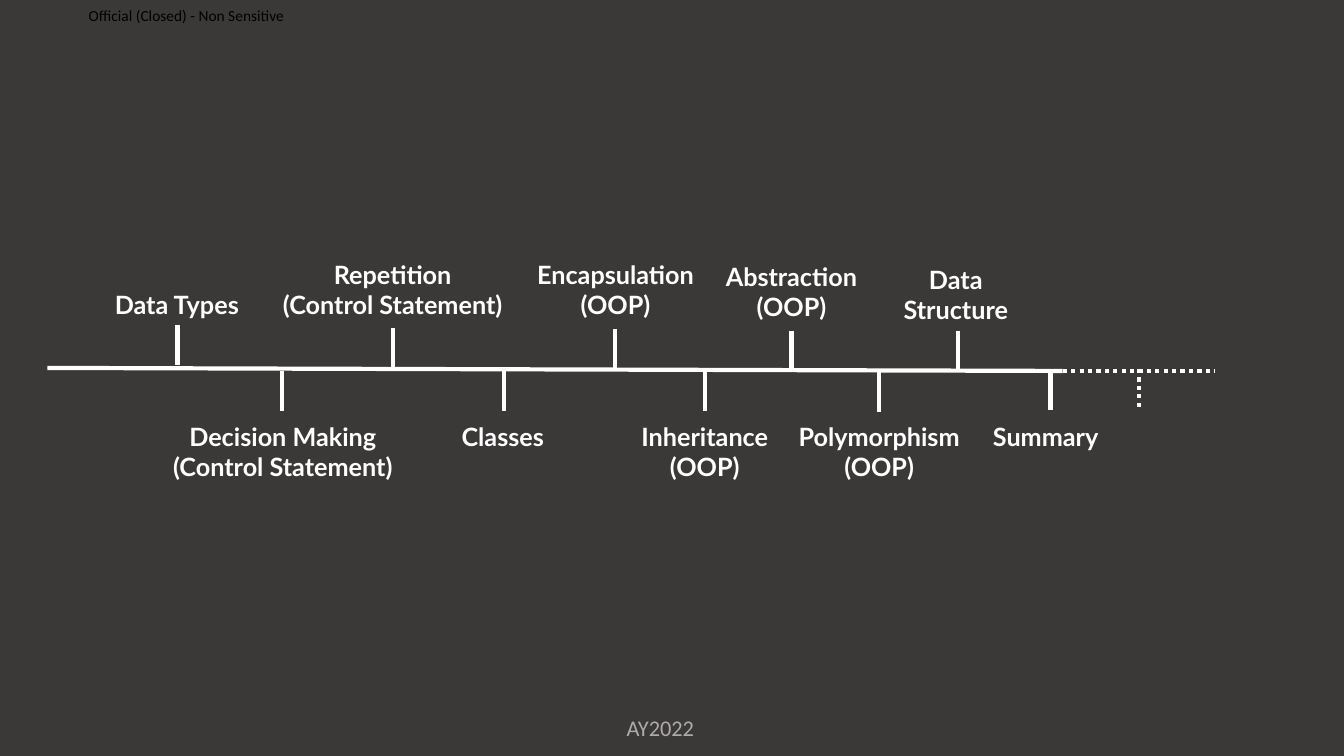
from lxml import etree
from pptx import Presentation
from pptx.dml.color import RGBColor
from pptx.enum import dml, shapes, text
from pptx.oxml import ns
from pptx.util import Inches, Pt

CHARCOAL = RGBColor(0x3B, 0x38, 0x38)
WHITE = RGBColor(0xFF, 0xFF, 0xFF)
BLACK = RGBColor(0x00, 0x00, 0x00)
GREY = RGBColor(0xAF, 0xAB, 0xAB)

TICK_LENGTH = 0.4
LABEL_FORMAT = {"name": "Lato", "size": Pt(18), "bold": True}
MARKING_FORMAT = {"name": "Calibri", "size": Pt(11)}
FOOTER_FORMAT = {"name": "Calibri", "size": Pt(16)}

# label lines, label left, top and width, tick x and top
TOPICS = [
    (["Data Types"], 1.04, 2.82, 1.5, 1.76, 3.22),
    (["Decision Making", "(Control Statement)"], 1.52, 4.13, 2.57, 2.8, 3.68),
    (["Repetition", "(Control Statement)"], 2.61, 2.52, 2.57, 3.9, 3.25),
    (["Classes"], 4.48, 4.13, 1.03, 5, 3.68),
    (["Encapsulation", "(OOP)"], 5.18, 2.52, 1.85, 6.1, 3.26),
    (["Inheritance", "(OOP)"], 6.22, 4.13, 1.54, 6.99, 3.68),
    (["Abstraction", "(OOP)"], 7.06, 2.54, 1.58, 7.85, 3.28),
    (["Polymorphism", "(OOP)"], 7.76, 4.13, 1.92, 8.72, 3.69),
    (["Data", "Structure"], 8.83, 2.57, 1.3, 9.5, 3.28),
    (["Summary"], 9.75, 4.13, 1.34, 10.42, 3.67),
]


def add_text(page, lines, left, top, width, height, font_format, color, centred=False):
    box = page.shapes.add_textbox(
        Inches(left), Inches(top), Inches(width), Inches(height))
    frame = box.text_frame
    frame.word_wrap = False
    frame.auto_size = text.MSO_AUTO_SIZE.SHAPE_TO_FIT_TEXT
    para = frame.paragraphs[0]
    para.text = "\v".join(lines)
    para.alignment = text.PP_ALIGN.CENTER if centred else text.PP_ALIGN.LEFT
    for span in para.runs:
        for name, value in font_format.items():
            setattr(span.font, name, value)
        span.font.color.rgb = color
    return frame


def add_line(page, start_x, start_y, end_x, end_y, dotted=False):
    line = page.shapes.add_connector(
        shapes.MSO_CONNECTOR.STRAIGHT,
        Inches(start_x), Inches(start_y), Inches(end_x), Inches(end_y))
    line.line.color.rgb = WHITE
    line.line.width = Pt(3)
    if dotted:
        line.line.dash_style = dml.MSO_LINE.ROUND_DOT
    etree.SubElement(line._element.spPr, ns.qn("a:effectLst"))


def add_tick(page, x, top, dotted=False):
    add_line(page, x, top, x, top + TICK_LENGTH, dotted)


def add_topic(page, lines, left, top, width, tick_x, tick_top):
    several = len(lines) > 1
    height = 0.71 if several else 0.4
    add_text(page, lines, left, top, width, height, LABEL_FORMAT, WHITE, several)
    add_tick(page, tick_x, tick_top)


def add_marking(page):
    frame = add_text(page, ["Official (Closed) - Non Sensitive"],
                     0.88, 0, 2.13, 0.31, MARKING_FORMAT, BLACK)
    frame.vertical_anchor = text.MSO_ANCHOR.MIDDLE
    frame.auto_size = text.MSO_AUTO_SIZE.NONE
    frame.word_wrap = True
    for side in ("left", "top", "right", "bottom"):
        setattr(frame, f"margin_{side}", 0)


def main():
    deck = Presentation()
    deck.slide_width, deck.slide_height = Inches(13.33), Inches(7.5)
    page = deck.slides.add_slide(deck.slide_layouts[6])
    page.background.fill.solid()
    page.background.fill.fore_color.rgb = CHARCOAL

    add_text(page, ["AY2022"], 6.11, 7.04, 0.88, 0.37, FOOTER_FORMAT, GREY, True)
    add_marking(page)
    add_line(page, 0.47, 3.65, 10.54, 3.68)
    add_line(page, 10.54, 3.68, 12.05, 3.68, dotted=True)
    add_tick(page, 11.3, 3.66, dotted=True)
    for topic in TOPICS:
        add_topic(page, *topic)

    deck.save("out.pptx")


if __name__ == "__main__":
    main()
